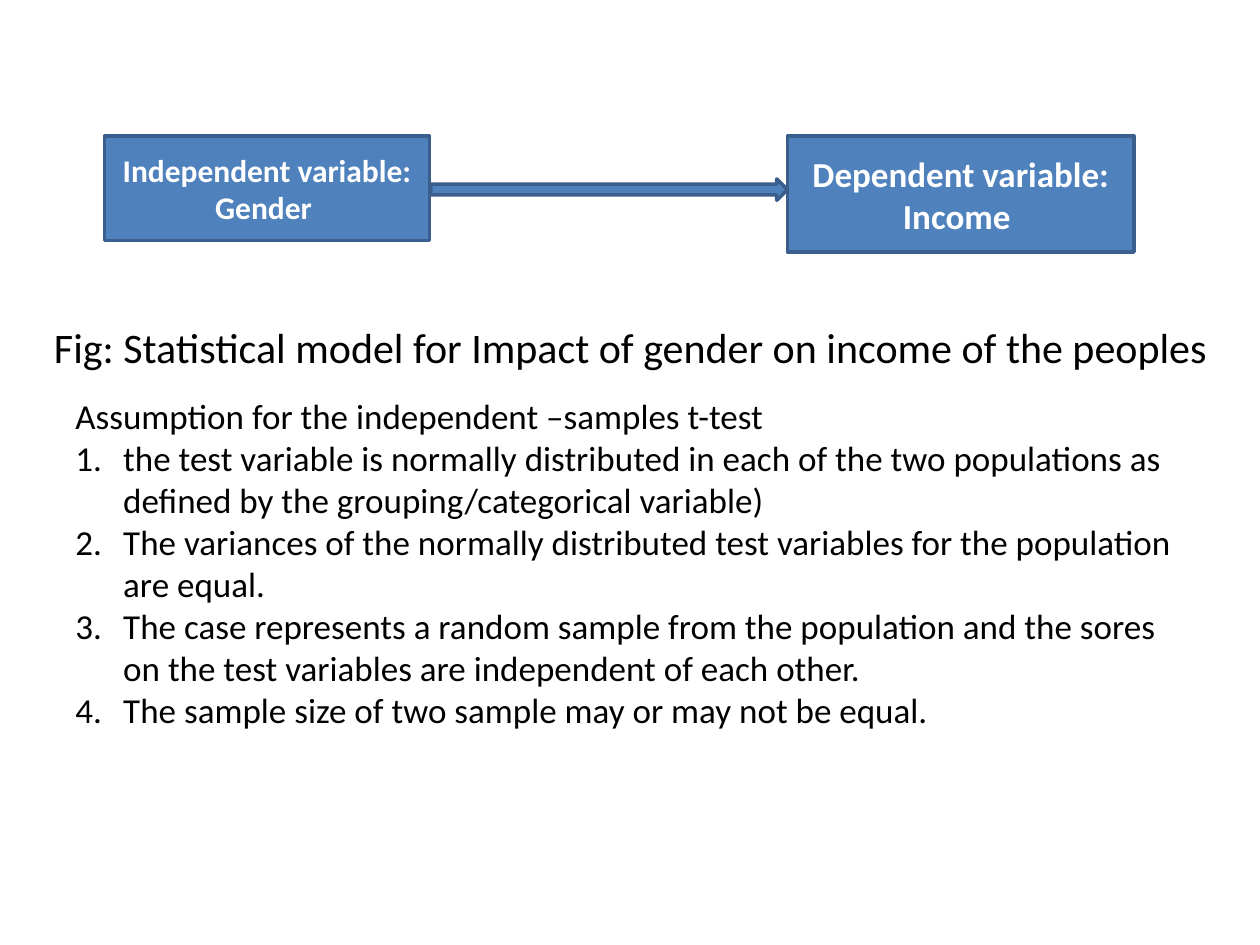
from pptx import Presentation
from pptx.dml.color import RGBColor
from pptx.enum.shapes import MSO_SHAPE
from pptx.enum.text import MSO_ANCHOR, PP_ALIGN
from pptx.oxml.ns import qn
from pptx.util import Inches, Pt
from lxml.etree import SubElement

BLUE = RGBColor(0x4F, 0x81, 0xBD)
EDGE = RGBColor(0x3A, 0x5F, 0x8C)
WHITE = RGBColor(0xFF, 0xFF, 0xFF)
BLACK = RGBColor(0, 0, 0)

POINTS = [
    "the test variable is normally distributed in each of the two populations as "
    "defined by the grouping/categorical variable)",
    "The variances of the normally distributed test variables for the population are equal.",
    "The case represents a random sample from the population and the sores "
    "on the test variables are independent of each other.",
    "The sample size of two sample may or may not be equal.",
]


def style(para, size, color=BLACK, bold=False):
    font = para.font
    font.name = "Calibri"
    font.size = Pt(size)
    font.bold = bold
    font.color.rgb = color


def number(para):
    """Turn a paragraph into an item of an automatic 1. 2. 3. list."""
    props = para._p.get_or_add_pPr()
    props.set("marL", str(Inches(0.38)))
    props.set("indent", str(Inches(-0.38)))
    SubElement(props, qn("a:buFont"), typeface="+mj-lt")
    SubElement(props, qn("a:buAutoNum"), type="arabicPeriod")


def add_block(slide, kind, *place):
    block = slide.shapes.add_shape(kind, *map(Inches, place))
    block.shadow.inherit = False
    block.fill.solid()
    block.fill.fore_color.rgb = BLUE
    block.line.color.rgb = EDGE
    block.line.width = Pt(2)
    return block


def add_box(slide, text, size, *place):
    frame = add_block(slide, MSO_SHAPE.RECTANGLE, *place).text_frame
    frame.word_wrap = True
    frame.vertical_anchor = MSO_ANCHOR.MIDDLE
    para = frame.paragraphs[0]
    para.text = text
    para.alignment = PP_ALIGN.CENTER
    style(para, size, WHITE, True)


def add_text(slide, text, size, *place):
    frame = slide.shapes.add_textbox(*map(Inches, place)).text_frame
    frame.word_wrap = True
    para = frame.paragraphs[0]
    para.text = text
    style(para, size)
    return frame


def add_list(frame, items, size):
    for item in items:
        para = frame.add_paragraph()
        para.text = item
        number(para)
        style(para, size)


def main():
    deck = Presentation()
    deck.slide_width, deck.slide_height = Inches(10), Inches(7.5)
    slide = deck.slides.add_slide(deck.slide_layouts[6])

    add_block(slide, MSO_SHAPE.RIGHT_ARROW, 3.42, 1.42, 2.83, 0.17)
    add_text(slide, "Fig: Statistical model for Impact of gender on income of the peoples",
             24, 0.33, 2.5, 9.42, 0.5)
    frame = add_text(slide, "Assumption for the independent –samples t-test",
                     20, 0.5, 3.08, 9, 3.13)
    add_list(frame, POINTS, 20)
    add_box(slide, "Independent variable: Gender ", 18, 0.83, 1.08, 2.58, 0.83)
    add_box(slide, "Dependent variable: Income ", 20, 6.25, 1.08, 2.75, 0.92)

    deck.save("out.pptx")


if __name__ == "__main__":
    main()
